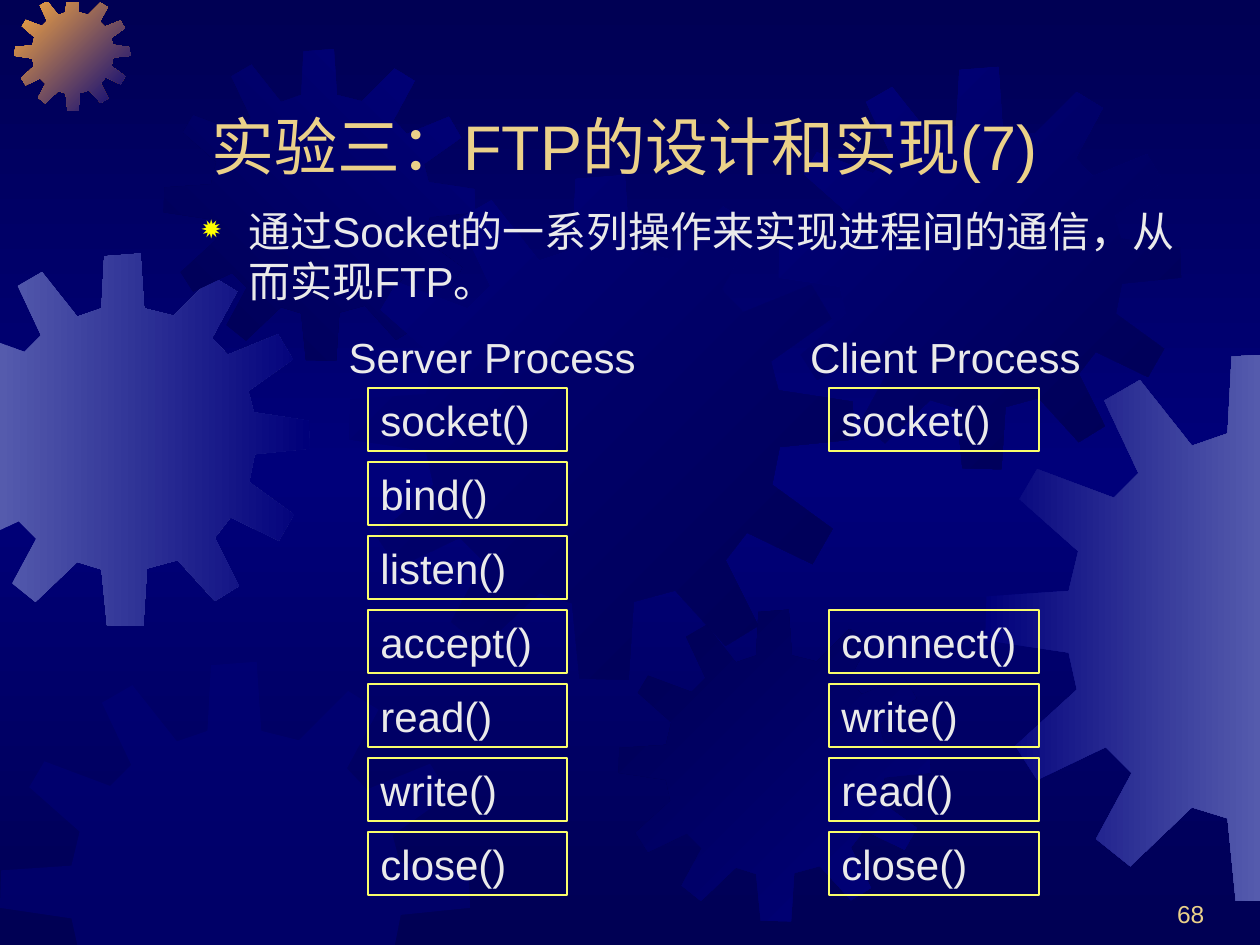
"""Build a slide that lists the socket calls of an FTP server and client."""
import copy
import dataclasses
import typing

import lxml.etree
import pptx
import pptx.dml.color
import pptx.enum.shapes
import pptx.enum.text
import pptx.oxml.ns
import pptx.util

Cm = pptx.util.Cm
Pt = pptx.util.Pt
qn = pptx.oxml.ns.qn
Anchor = pptx.enum.text.MSO_ANCHOR
Align = pptx.enum.text.PP_ALIGN
Auto = pptx.enum.text.MSO_AUTO_SIZE
Point = tuple[float, float]


@dataclasses.dataclass(frozen=True)
class Theme:
    """Colours, font and type sizes."""
    dark: str = "000054"
    navy: str = "00007A"
    haze: str = "555BAD"
    amber: str = "FCAB40"
    gold: str = "EBD189"
    pale: str = "EAEAEA"
    edge: str = "FAFD6B"
    star: str = "FFFF00"
    font: str = "Arial"
    title: int = 36
    body: int = 24
    small: int = 14


@dataclasses.dataclass(frozen=True)
class Gear:
    """A gear in cm, with a gradient or a half-clear fill."""
    left: float
    top: float
    size: float
    hues: tuple[str, ...]
    angle: int = 0


@dataclasses.dataclass(frozen=True)
class Label:
    """A text in a frame given in cm."""
    text: str
    left: float
    top: float
    width: float
    height: float
    size: int
    hue: str
    frame: dict[str, typing.Any] = dataclasses.field(default_factory=dict)
    align: typing.Any = Align.LEFT
    boxed: bool = False


T = Theme()
WIDE, HIGH = 25.4, 19.05
RIM = 402
TEETH = (
    (255, 67), (223, 59), (219, 0), (180, 3), (177, 59), (151, 68),
    (113, 20), (87, 35), (112, 88), (94, 106), (38, 85), (25, 107),
    (68, 145), (61, 174), (1, 178), (0, 210), (61, 219), (67, 246),
    (22, 287), (38, 312), (88, 288), (107, 307), (81, 355), (106, 375),
    (151, 332), (177, 340), (183, 400), (222, 401), (226, 339), (259, 330),
    (299, 374), (325, 358), (299, 306), (316, 284), (368, 309), (384, 281),
    (336, 246), (342, 216), (401, 210), (400, 180), (341, 171), (335, 148),
    (383, 114), (367, 87), (313, 109), (296, 91), (323, 41), (297, 25),
)
GEARS = (
    Gear(-1.27, 5.11, 7.53, (T.haze, T.navy)),
    Gear(0.3, -0.09, 2.33, (T.amber, T.navy), 45),
    Gear(3.3, 0.99, 6.3, (T.dark, T.navy), 315),
    Gear(7.04, 3.53, 10.2, (T.navy, T.dark), 45),
    Gear(0, 13.34, 9.5, (T.navy,)),
    Gear(12.47, 12.29, 6.3, (T.dark, T.navy), 45),
    Gear(15.7, 1.35, 8.13, (T.navy, T.dark), 45),
    Gear(19.86, 7.11, 11.1, (T.navy, T.haze)),
)
EDGES = ((0, 1, 0), (0, -1, WIDE), (1, 1, 0.05), (1, -1, HIGH))
GROW = {"auto_size": Auto.SHAPE_TO_FIT_TEXT}
TITLE = Label("实验三：FTP的设计和实现(7)", 4.01, 0.64, 20.96, 3.18,
              T.title, T.gold, {"vertical_anchor": Anchor.BOTTOM})
BODY = Label("通过Socket的一系列操作来实现进程间的通信，从而实现FTP。",
             3.81, 4.01, 20.96, 2.74, T.body, T.pale)
NUMBER = Label("68", 19.25, 17.58, 5.28, 1.27, T.small, T.gold,
               {"vertical_anchor": Anchor.BOTTOM}, Align.RIGHT)
HEADS = (
    Label("Server Process", 6.78, 6.55, 7.19, 1.27, T.body, T.pale, GROW),
    Label("Client Process", 16.08, 6.55, 6.35, 1.27, T.body, T.pale, GROW),
)
FIRST, PITCH = 7.83, 1.49
LISTS = (
    (7.42, 4.01, ("socket()", "bind()", "listen()", "accept()",
                  "read()", "write()", "close()")),
    (16.71, 4.24, ("socket()", "", "", "connect()",
                   "write()", "read()", "close()")),
)


def shade(hue: str) -> pptx.dml.color.RGBColor:
    """Turn a hex string into a colour."""
    return pptx.dml.color.RGBColor.from_string(hue)


def apply(item: typing.Any, values: dict[str, typing.Any]) -> None:
    """Set each named value on an object."""
    for name, value in values.items():
        setattr(item, name, value)


def blend(fill: typing.Any, hues: tuple[str, ...], angle: int) -> None:
    """Spread hues evenly along a clockwise angle."""
    fill.gradient_angle = -angle % 360
    for rank, (stop, hue) in enumerate(zip(fill.gradient_stops, hues)):
        stop.color.rgb = shade(hue)
        stop.position = rank / (len(hues) - 1)


def trim(points: list[Point], axis: int, sign: int, bound: float) -> list[Point]:
    """Cut a polygon along one edge of the slide."""
    kept: list[Point] = []
    for last, here in zip(points[-1:] + points[:-1], points):
        start, end = (sign * (spot[axis] - sign * bound if sign < 0 else spot[axis] - bound)
                      if sign > 0 else bound - spot[axis] for spot in (last, here))
        if (start < 0) != (end < 0):
            part = start / (start - end)
            kept.append((last[0] + part * (here[0] - last[0]),
                         last[1] + part * (here[1] - last[1])))
        if end >= 0:
            kept.append(here)
    return kept


def draw_gear(slide: typing.Any, gear: Gear) -> None:
    """Draw the part of a gear that lies on the slide."""
    unit = gear.size / RIM
    points = [(gear.left + x * unit, gear.top + y * unit) for x, y in TEETH]
    for edge in EDGES:
        points = trim(points, *edge)
    spots = [(Cm(x), Cm(y)) for x, y in points]
    pen = slide.shapes.build_freeform(*spots[0], scale=1.0)
    pen.add_line_segments(spots[1:], close=True)
    shape = pen.convert_to_shape()
    shape.shadow.inherit = False
    shape.line.fill.background()
    if len(gear.hues) > 1:
        shape.fill.gradient()
        blend(shape.fill, gear.hues, gear.angle)
    else:
        shape.fill.solid()
        shape.fill.fore_color.rgb = shade(gear.hues[0])
        tint = shape.element.spPr.find(".//" + qn("a:srgbClr"))
        lxml.etree.SubElement(tint, qn("a:alpha"), val="50000")


def draw_label(slide: typing.Any, label: Label, bullet: bool = False) -> None:
    """Draw a text, with a frame or a star bullet if asked."""
    place = [Cm(n) for n in (label.left, label.top, label.width, label.height)]
    if label.boxed:
        kind = pptx.enum.shapes.MSO_SHAPE.RECTANGLE
        shape = slide.shapes.add_shape(kind, *place)
        shape.shadow.inherit = False
        shape.fill.background()
        shape.line.color.rgb = shade(T.edge)
        shape.line.width = Pt(1)
    else:
        shape = slide.shapes.add_textbox(*place)
    frame = shape.text_frame
    apply(frame, {"word_wrap": True, "vertical_anchor": Anchor.TOP} | label.frame)
    para = frame.paragraphs[0]
    para.alignment = label.align
    if bullet:
        add_star(para)
    run = para.add_run()
    run.text = label.text
    apply(run.font, {"name": T.font, "size": Pt(label.size)})
    run.font.color.rgb = shade(label.hue)


def add_star(para: typing.Any) -> None:
    """Give a paragraph a hanging star bullet."""
    props = para._p.get_or_add_pPr()
    props.set("marL", str(Cm(0.95)))
    props.set("indent", str(Cm(-0.95)))
    tint = lxml.etree.SubElement(props, qn("a:buClr"))
    lxml.etree.SubElement(tint, qn("a:srgbClr"), val=T.star)
    lxml.etree.SubElement(props, qn("a:buSzPct"), val="80000")
    lxml.etree.SubElement(props, qn("a:buChar"), char="✹")


def main() -> None:
    """Build and save the slide."""
    deck = pptx.Presentation()
    apply(deck, {"slide_width": Cm(WIDE), "slide_height": Cm(HIGH)})
    slide = deck.slides.add_slide(deck.slide_layouts[6])
    fill = slide.background.fill
    fill.gradient()
    stops = slide.element.find(".//" + qn("a:gsLst"))
    stops.append(copy.deepcopy(stops[0]))
    blend(fill, (T.dark, T.navy, T.dark), 90)
    for gear in GEARS:
        draw_gear(slide, gear)
    for label in (NUMBER, TITLE, BODY, *HEADS):
        draw_label(slide, label, bullet=label is BODY)
    for left, width, calls in LISTS:
        for row, call in enumerate(calls):
            if call:
                draw_label(slide, Label(call, left, FIRST + row * PITCH, width, 1.27,
                                        T.body, T.pale, GROW, boxed=True))
    deck.save("out.pptx")


if __name__ == "__main__":
    main()
